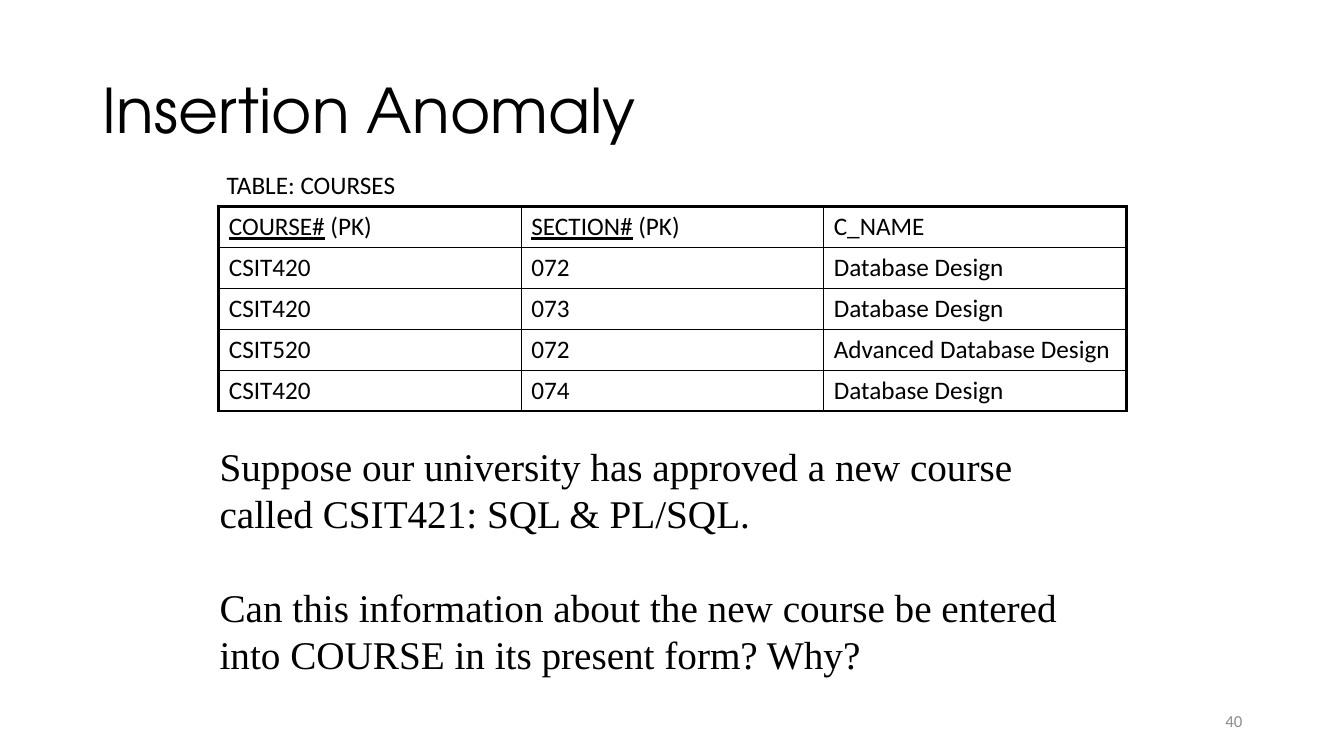
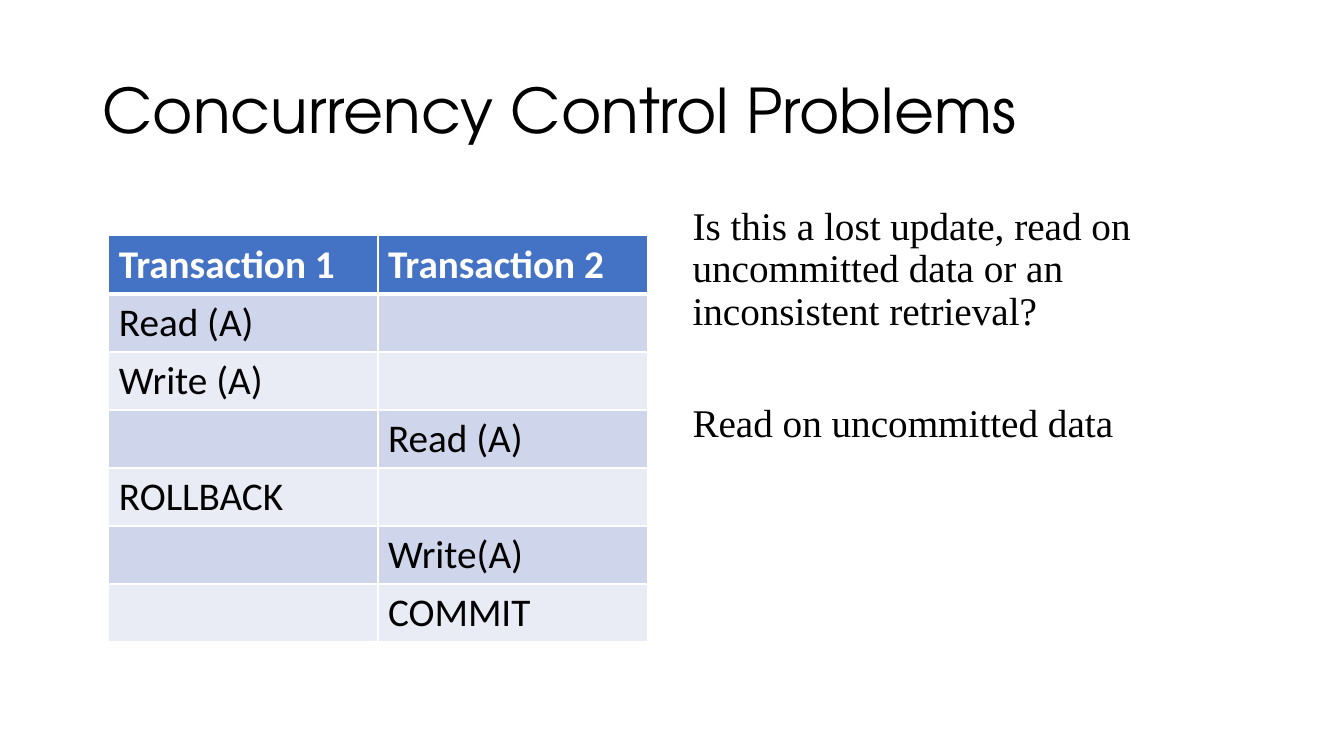
from lxml import etree
from pptx import Presentation
from pptx.dml.color import RGBColor
from pptx.enum.text import MSO_ANCHOR, MSO_AUTO_SIZE, PP_ALIGN
from pptx.oxml.ns import qn
from pptx.util import Inches, Pt

BLACK = RGBColor(0x00, 0x00, 0x00)
WHITE = RGBColor(0xFF, 0xFF, 0xFF)
GRAY = RGBColor(0x8C, 0x8C, 0x8C)
BLUE = RGBColor(0x44, 0x72, 0xC4)
BAND_DARK = RGBColor(0xCF, 0xD5, 0xEA)
BAND_LIGHT = RGBColor(0xE9, 0xEB, 0xF5)

TITLE_FONT = "TeX Gyre Adventor"
TABLE_FONT = "Calibri"
BODY_FONT = "Times New Roman"

KEY_MARK = " (PK)"
TITLE_ONLY = 5


class Deck:
    """Holds the shared style and the slide being built."""

    def __init__(self):
        self.presentation = Presentation()
        self.presentation.slide_width = Inches(13.33)
        self.presentation.slide_height = Inches(7.5)
        self.slide = None

    def start_slide(self, title):
        layout = self.presentation.slide_layouts[TITLE_ONLY]
        self.slide = self.presentation.slides.add_slide(layout)
        shape = self.slide.shapes.title
        shape.left, shape.top = Inches(0.92), Inches(0.4)
        shape.width, shape.height = Inches(11.5), Inches(1.45)
        frame = shape.text_frame
        frame.text = title
        frame.auto_size = MSO_AUTO_SIZE.NONE
        frame.vertical_anchor = MSO_ANCHOR.MIDDLE
        paragraph = frame.paragraphs[0]
        paragraph.alignment = PP_ALIGN.LEFT
        paragraph.line_spacing = 0.9
        self.format_runs(paragraph, TITLE_FONT, 44)

    def format_runs(self, paragraph, font_name, size, color=BLACK, bold=False):
        for run in paragraph.runs:
            run.font.name = font_name
            run.font.size = Pt(size)
            run.font.color.rgb = color
            run.font.bold = bold

    def add_text(self, left, top, width, height, paragraphs, font_name, size,
                 color=BLACK, gap=0, line_spacing=1.0,
                 alignment=PP_ALIGN.LEFT, anchor=MSO_ANCHOR.TOP):
        """Add a text box; gap is the space in points between paragraphs."""
        shape = self.slide.shapes.add_textbox(
            Inches(left), Inches(top), Inches(width), Inches(height))
        frame = shape.text_frame
        frame.word_wrap = True
        frame.vertical_anchor = anchor
        frame.text = "\n".join(paragraphs)
        for index, paragraph in enumerate(frame.paragraphs):
            paragraph.alignment = alignment
            paragraph.line_spacing = line_spacing
            if index:
                paragraph.space_before = Pt(gap)
            self.format_runs(paragraph, font_name, size, color)

    def add_table(self, left, top, column_width, row_height, rows, size):
        """Add a plain table and return it for fills and borders."""
        column_count = len(rows[0])
        table = self.slide.shapes.add_table(
            len(rows), column_count, Inches(left), Inches(top),
            Inches(column_width * column_count),
            Inches(row_height * len(rows))).table
        for column in table.columns:
            column.width = Inches(column_width)
        for row, texts in zip(table.rows, rows):
            row.height = Inches(row_height)
            for cell, text in zip(row.cells, texts):
                cell.fill.background()
                paragraph = cell.text_frame.paragraphs[0]
                paragraph.font.size = Pt(size)
                if text.endswith(KEY_MARK):
                    paragraph.text = text.removesuffix(KEY_MARK)
                    paragraph.runs[0].font.underline = True
                    paragraph.add_run().text = KEY_MARK
                else:
                    paragraph.text = text
                self.format_runs(paragraph, TABLE_FONT, size)
        return table

    def set_borders(self, cell, color, left=1, right=1, top=1, bottom=1):
        """Draw the four cell borders; widths are in points."""
        properties = cell._tc.get_or_add_tcPr()
        widths = {"a:lnL": left, "a:lnR": right, "a:lnT": top, "a:lnB": bottom}
        for index, (tag, width) in enumerate(widths.items()):
            line = etree.Element(qn(tag), w=str(Pt(width)))
            fill = etree.SubElement(line, qn("a:solidFill"))
            etree.SubElement(fill, qn("a:srgbClr"), val=str(color))
            properties.insert(index, line)

    def add_framed_table(self, *arguments):
        """Add a table with thin lines and a heavy left, top and right edge."""
        table = self.add_table(*arguments)
        table.first_row = table.horz_banding = False
        last_column = len(table.columns) - 1
        for row_index, row in enumerate(table.rows):
            for column_index, cell in enumerate(row.cells):
                self.set_borders(
                    cell, BLACK,
                    left=2.25 if column_index == 0 else 1,
                    right=2.25 if column_index == last_column else 1,
                    top=2.25 if row_index == 0 else 1)

    def add_banded_table(self, *arguments):
        """Add a table with a blue header and two alternating row colours."""
        table = self.add_table(*arguments)
        size = arguments[-1]
        for row_index, row in enumerate(table.rows):
            band = BAND_DARK if row_index % 2 else BAND_LIGHT
            for cell in row.cells:
                cell.fill.solid()
                cell.fill.fore_color.rgb = band if row_index else BLUE
                self.set_borders(cell, WHITE,
                                 top=3 if row_index == 1 else 1,
                                 bottom=1 if row_index else 3)
                if row_index == 0:
                    self.format_runs(cell.text_frame.paragraphs[0],
                                     TABLE_FONT, size, WHITE, bold=True)

    def add_slide_number(self, number):
        self.add_text(9.42, 6.95, 3, 0.4, [str(number)], TABLE_FONT, 12, GRAY,
                      alignment=PP_ALIGN.RIGHT, anchor=MSO_ANCHOR.MIDDLE)


def build_insertion_anomaly(deck):
    deck.start_slide("Insertion Anomaly")
    courses = [
        ("COURSE# (PK)", "SECTION# (PK)", "C_NAME"),
        ("CSIT420", "072", "Database Design"),
        ("CSIT420", "073", "Database Design"),
        ("CSIT520", "072", "Advanced Database Design"),
        ("CSIT420", "074", "Database Design"),
    ]
    deck.add_framed_table(2.17, 2.05, 3, 0.4, courses, 18)
    questions = [
        "Suppose our university has approved a new course called "
        "CSIT421: SQL & PL/SQL.",
        "Can this information about the new course be entered into COURSE "
        "in its present form? Why?",
    ]
    deck.add_text(2.08, 4.34, 9.08, 2.46, questions, BODY_FONT, 28, gap=33.5)
    deck.add_text(2.15, 1.63, 5, 0.4, ["TABLE: COURSES"], TABLE_FONT, 18)
    deck.add_slide_number(40)


def build_concurrency_problems(deck):
    deck.start_slide("Concurrency Control Problems")
    schedule = [
        ("Transaction 1", "Transaction 2"),
        ("Read (A)", ""),
        ("Write (A)", ""),
        ("", "Read (A)"),
        ("ROLLBACK", ""),
        ("", "Write(A)"),
        ("", "COMMIT"),
    ]
    deck.add_banded_table(1.08, 2.34, 2.67, 0.57, schedule, 28)
    answer = [
        "Is this a lost update, read on uncommitted data or an inconsistent "
        "retrieval?",
        "Read on uncommitted data",
    ]
    deck.add_text(6.77, 2, 5.65, 4.76, answer, BODY_FONT, 28,
                  gap=50, line_spacing=0.9)


def main():
    deck = Deck()
    build_insertion_anomaly(deck)
    build_concurrency_problems(deck)
    deck.presentation.save("out.pptx")


if __name__ == "__main__":
    main()
